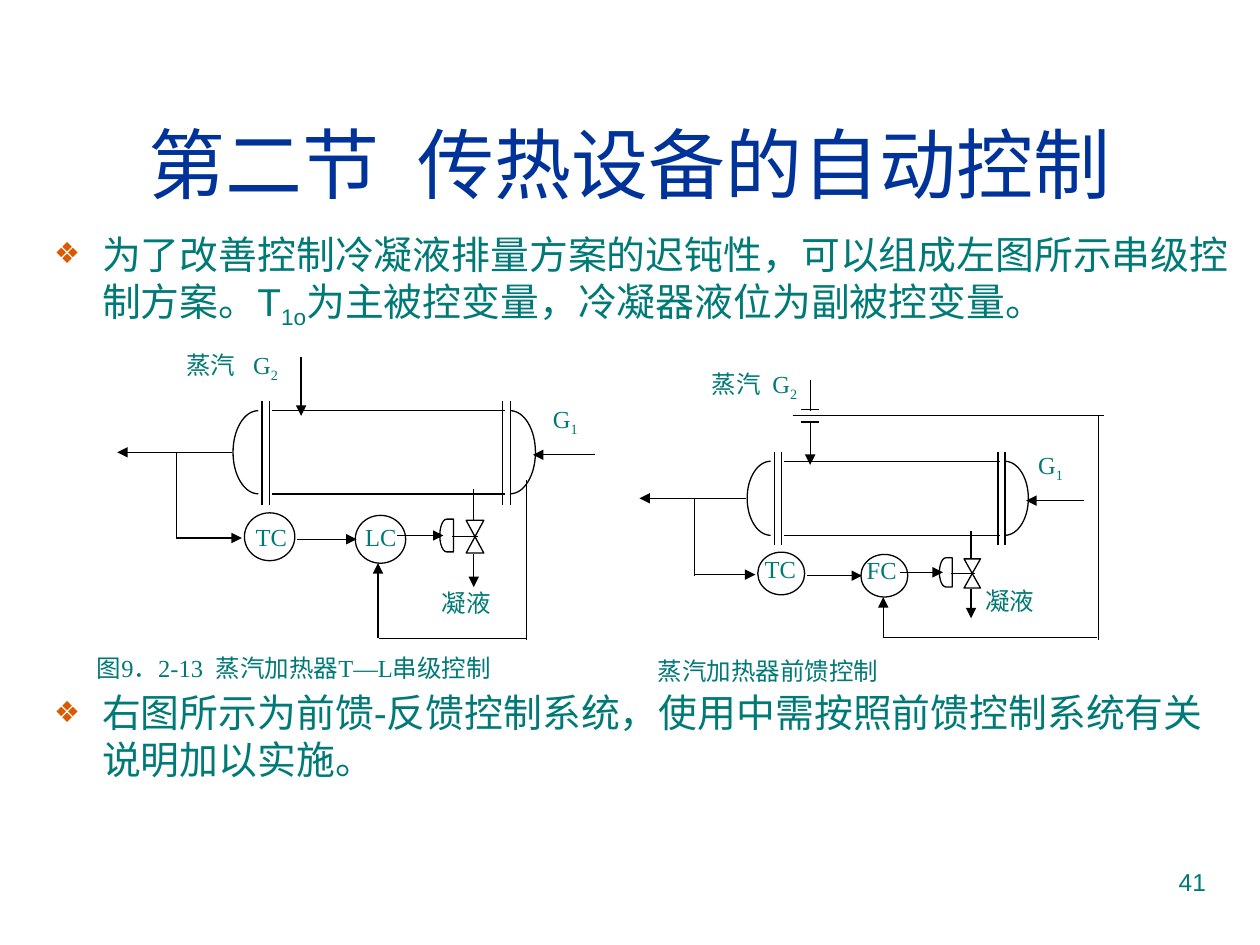
import dataclasses
import math

import pptx
import pptx.dml.color
import pptx.enum.shapes
import pptx.enum.text
import pptx.oxml.ns
import pptx.util
from lxml import etree
from pptx.util import Inches

Align = pptx.enum.text.PP_ALIGN
Preset = pptx.enum.shapes.MSO_SHAPE


@dataclasses.dataclass(frozen=True)
class Theme:
    title_color: str = "003399"
    text_color: str = "007A77"
    bullet_color: str = "DC5900"
    line_color: str = "000000"
    fill_color: str = "FFFFFF"
    heading_font: str = "Arial"
    label_font: str = "Times New Roman"
    title_size: float = 44
    body_size: float = 22.2
    label_size: float = 14
    line_width: float = 0.75


@dataclasses.dataclass(frozen=True)
class Frame:
    """Maps the heater's base coordinates to inches on the slide."""
    left: float = 0
    top: float = 0
    scale_x: float = 1
    scale_y: float = 1

    def point(self, x, y):
        return self.left + x * self.scale_x, self.top + y * self.scale_y


THEME = Theme()
WHOLE_SLIDE = Frame()
RIGHT_HEATER = Frame(4.21, 0.76, 0.93, 0.89)

# Each entry: start x, start y, end x, end y
HEATER_LINES = [
    (2.16, 3.26, 4.01, 3.26), (2.16, 3.92, 4.01, 3.92),  # shell
    *((x, 3.18, x, 4.01) for x in (2.08, 2.14, 3.99, 4.05)),  # flanges
    (1.4, 3.59, 1.4, 4.28),  # temperature tap
    (3.76, 4.13, 3.76, 3.88),  # condensate outlet
]
VALVE_STEM = (3.79, 4.26, 3.59, 4.26)
HEATER_ARROWS = [
    (4.72, 3.61, 4.23, 3.61), (1.84, 3.59, 0.93, 3.59),  # inlet, outlet
    (3.76, 4.4, 3.76, 4.66),  # condensate
    (1.4, 4.27, 1.92, 4.27), (2.36, 4.28, 2.83, 4.28),  # to controllers
    (3.15, 4.25, 3.52, 4.25),  # to valve
]
CONTROLLERS = [(1.94, 4.07), (2.82, 4.09)]


def color(value):
    return pptx.dml.color.RGBColor.from_string(value)


def add_span(para, text, *, font=THEME.label_font, size=THEME.label_size,
             ink=THEME.text_color, baseline=0, spacing=0):
    """Baseline is a percentage; spacing is extra points after a letter."""
    span = para.add_run()
    span.text = text
    span.font.name = font
    span.font.size = pptx.util.Pt(size)
    span.font.color.rgb = color(ink)
    properties = span.font._element
    if baseline:
        properties.set("baseline", str(baseline * 1000))
    if spacing:
        properties.set("spc", str(round(spacing * 100)))


def add_label(shapes, left, top, width, height, spans,
              align=Align.JUSTIFY, **style):
    box = shapes.add_textbox(*map(Inches, (left, top, width, height)))
    box.text_frame.word_wrap = True
    para = box.text_frame.paragraphs[0]
    para.alignment = align
    for text, extra in spans:
        add_span(para, text, **style, **extra)


def style_outline(shape):
    shape.line.color.rgb = color(THEME.line_color)
    shape.line.width = pptx.util.Pt(THEME.line_width)


def add_line(shapes, frame, x1, y1, x2, y2, arrow=False):
    ends = map(Inches, (*frame.point(x1, y1), *frame.point(x2, y2)))
    line = shapes.add_connector(
        pptx.enum.shapes.MSO_CONNECTOR.STRAIGHT, *ends)
    style_outline(line)
    if arrow:
        etree.SubElement(line.line._get_or_add_ln(),
                         pptx.oxml.ns.qn("a:tailEnd"), type="triangle")
    etree.SubElement(line._element.spPr, pptx.oxml.ns.qn("a:effectLst"))


def add_part(shapes, frame, preset, x, y, width, height):
    left, top = frame.point(x, y)
    part = shapes.add_shape(
        preset, Inches(left), Inches(top),
        Inches(width * frame.scale_x), Inches(height * frame.scale_y))
    part.shadow.inherit = False
    part.fill.solid()
    part.fill.fore_color.rgb = color(THEME.fill_color)
    style_outline(part)
    return part


def add_head(shapes, frame, center_x, direction):
    """Domed end of the heater; direction is -1 for left, 1 for right."""
    steps = 32
    points = []
    for step in range(steps + 1):
        angle = math.pi * (step / steps - 0.5)
        x, y = frame.point(center_x + direction * 0.2 * math.cos(angle),
                           3.59 + 0.33 * math.sin(angle))
        points.append((Inches(x), Inches(y)))
    builder = shapes.build_freeform(*points[0])
    builder.add_line_segments(points[1:], close=False)
    head = builder.convert_to_shape()
    head.shadow.inherit = False
    head.fill.background()
    style_outline(head)


def add_heater(shapes, frame, lines, arrows, labels):
    """Heater with its valve and controllers, plus lines of its own scheme."""
    for ends in HEATER_LINES:
        add_line(shapes, frame, *ends)
    add_head(shapes, frame, 2.05, -1)
    add_head(shapes, frame, 4.05, 1)
    add_part(shapes, frame, Preset.FLOWCHART_COLLATE, 3.7, 4.13, 0.14, 0.26)
    actuator = add_part(shapes, frame, Preset.FLOWCHART_DELAY,
                        3.49, 4.12, 0.11, 0.26)
    actuator.rotation = 180
    add_line(shapes, frame, *VALVE_STEM)
    for x, y in CONTROLLERS:
        add_part(shapes, frame, Preset.OVAL, x, y, 0.4, 0.38)
    for ends in HEATER_ARROWS:
        add_line(shapes, frame, *ends, arrow=True)
    for ends in lines:
        add_line(shapes, WHOLE_SLIDE, *ends)
    for ends in arrows:
        add_line(shapes, WHOLE_SLIDE, *ends, arrow=True)
    for *place, spans in labels:
        add_label(shapes, *place, spans)


def place_holder(holder, left, top, width, height):
    holder.left, holder.top, holder.width, holder.height = map(
        Inches, (left, top, width, height))
    holder.text_frame.auto_size = pptx.enum.text.MSO_AUTO_SIZE.NONE
    return holder.text_frame


def add_bullet(para):
    properties = para._p.get_or_add_pPr()
    properties.set("marL", str(Inches(0.38)))
    properties.set("indent", str(-Inches(0.38)))
    tint = etree.SubElement(properties, pptx.oxml.ns.qn("a:buClr"))
    etree.SubElement(tint, pptx.oxml.ns.qn("a:srgbClr"),
                     val=THEME.bullet_color)
    etree.SubElement(properties, pptx.oxml.ns.qn("a:buSzPct"), val="75000")
    etree.SubElement(properties, pptx.oxml.ns.qn("a:buChar"), char="❖")


def fill_title(holder):
    frame = place_holder(holder, 0.33, 0.67, 9.34, 1.25)
    para = frame.paragraphs[0]
    para.alignment = Align.CENTER
    for text, spacing in (("第二节", 0), (" ", 12), ("传热设备的自动控制", 0)):
        add_span(para, text, font=THEME.heading_font, size=THEME.title_size,
                 ink=THEME.title_color, spacing=spacing)


def fill_body(holder):
    frame = place_holder(holder, 0.33, 1.78, 9.55, 4.59)
    cascade, feedforward = frame.paragraphs[0], frame.add_paragraph()
    cascade.space_before = pptx.util.Pt(0)
    feedforward.space_before = pptx.util.Pt(205)
    spans = [
        (cascade, "为了改善控制冷凝液排量方案的迟钝性，可以组成左图所示串级控制方案。T", 0),
        (cascade, "1o", -25),
        (cascade, "为主被控变量，冷凝器液位为副被控变量。", 0),
        (feedforward, "右图所示为前馈-反馈控制系统，使用中需按照前馈控制系统有关说明加以实施。", 0),
    ]
    for para in (cascade, feedforward):
        add_bullet(para)
    for para, text, baseline in spans:
        add_span(para, text, font=THEME.heading_font, size=THEME.body_size,
                 baseline=baseline)


def main():
    deck = pptx.Presentation()
    deck.slide_width, deck.slide_height = Inches(10), Inches(7.5)
    page = deck.slides.add_slide(deck.slide_layouts[1])
    add_label(page.shapes, 7.17, 6.83, 2.5, 0.52, [("41", {})],
              align=Align.RIGHT, font=THEME.heading_font)
    fill_title(page.shapes.title)
    fill_body(page.placeholders[1])

    def plain(text):
        return [(text, {})]

    def stream(number):
        return [("G", {}), (number, {"baseline": -25})]

    def steam(gap):
        return [("蒸汽", {}), (" ", {"spacing": gap}), *stream("2")]

    add_heater(
        page.shapes.add_group_shape().shapes, WHOLE_SLIDE,
        lines=[(4.18, 3.81, 4.18, 5.08), (4.18, 5.07, 3.01, 5.07)],
        arrows=[(2.39, 2.83, 2.39, 3.3), (3, 5.06, 3, 4.47)],
        labels=[(1.38, 2.73, 1.25, 0.6, steam(7)),
                (4.29, 3.16, 0.71, 0.68, stream("1")),
                (1.93, 4.09, 0.71, 0.62, plain("TC")),
                (3.41, 4.62, 0.77, 0.53, plain("凝液")),
                (2.8, 4.09, 0.62, 0.59, plain("LC")),
                (0.67, 5.13, 4.06, 0.59,
                 [("图9．2-13", {}), (" ", {"spacing": 3.5}),
                  ("蒸汽加热器T—L串级控制", {})])])
    add_heater(
        page.shapes.add_group_shape().shapes, RIGHT_HEATER,
        lines=[(8.72, 3.3, 8.72, 5.08), (8.71, 5.06, 7.01, 5.06),
               (6.36, 3.35, 6.5, 3.35), (6.36, 3.25, 6.5, 3.25),
               (6.29, 3.3, 8.76, 3.3), (6.43, 3.02, 6.43, 3.26)],
        arrows=[(6.43, 3.36, 6.43, 3.69), (7.01, 5.06, 7.01, 4.74)],
        labels=[(5.55, 2.88, 1.26, 0.55, steam(3.5)),
                (8.14, 3.52, 0.55, 0.4, stream("1")),
                (5.97, 4.35, 0.54, 0.48, plain("TC")),
                (7.72, 4.6, 0.7, 0.42, plain("凝液")),
                (6.78, 4.36, 0.59, 0.47, plain("FC")),
                (5.12, 5.16, 3.82, 0.4, plain("蒸汽加热器前馈控制"))])
    deck.save("out.pptx")


if __name__ == "__main__":
    main()
